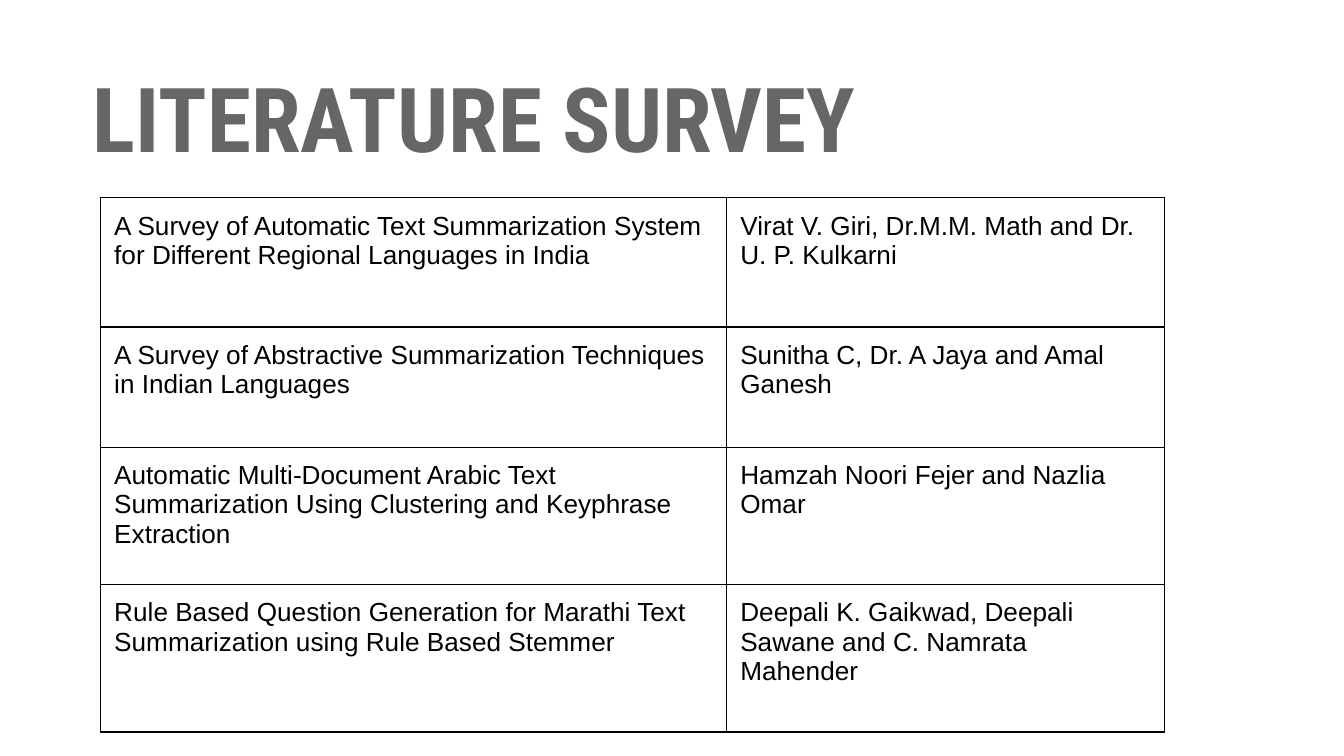
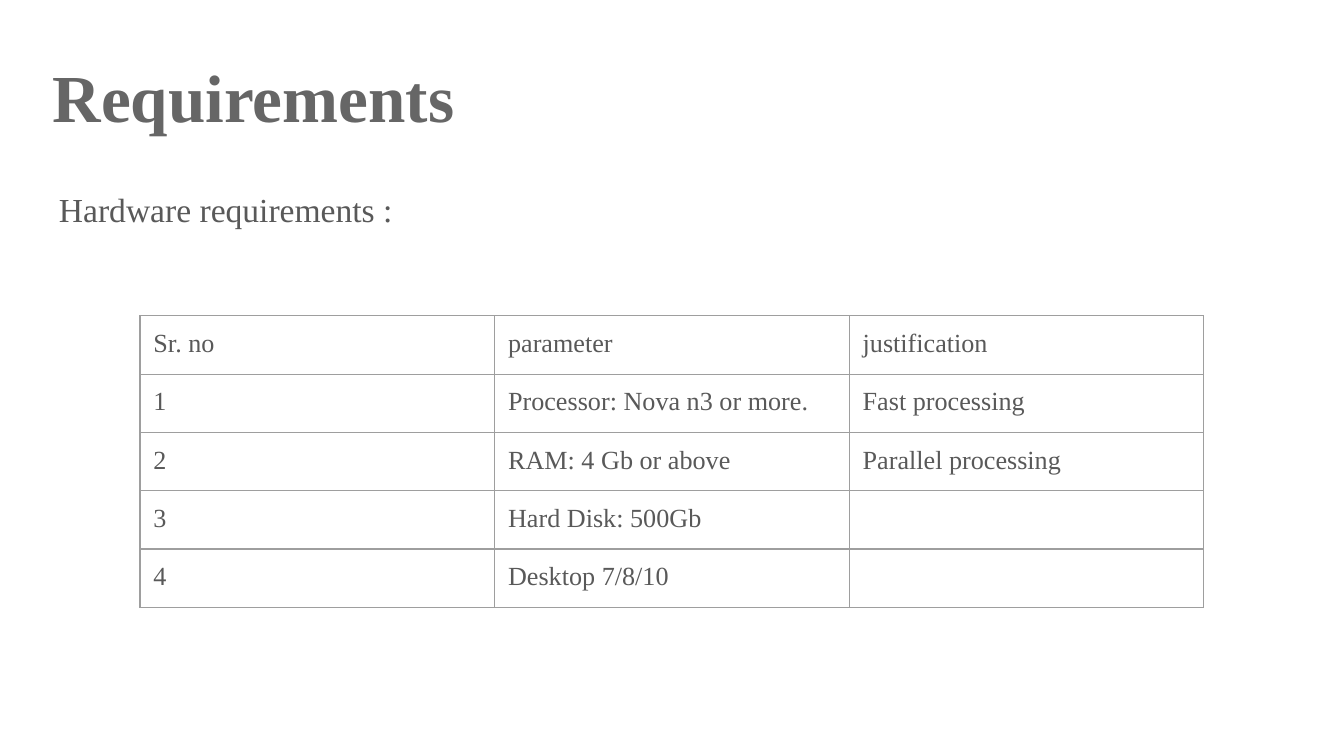
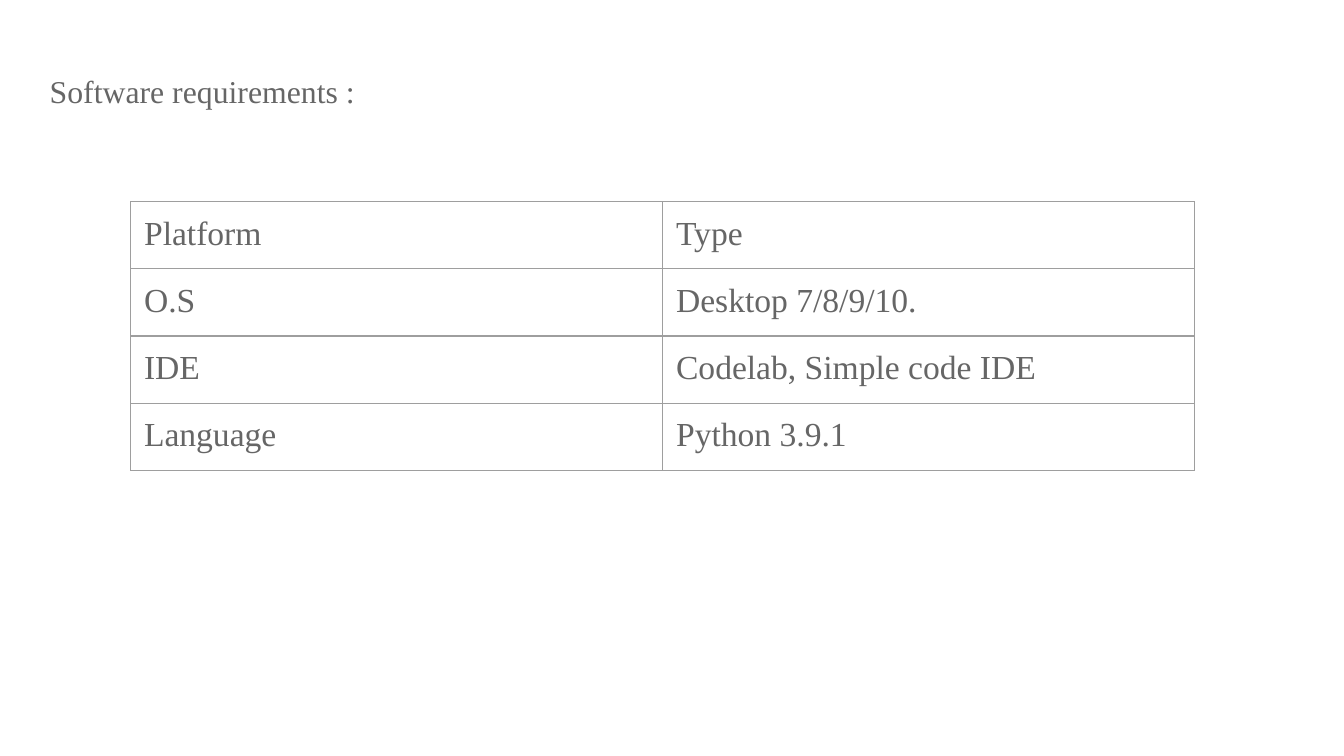
from dataclasses import dataclass
from pptx import Presentation
from pptx.dml.color import RGBColor as RGB
from pptx.enum.text import MSO_ANCHOR as Anchor, MSO_AUTO_SIZE as AutoSize, PP_ALIGN as Align
from pptx.oxml.ns import qn
from pptx.util import Pt
from lxml.etree import SubElement


@dataclass(frozen=True)
class Theme:
    serif: str = "Times New Roman"
    sans: str = "Arial"
    display: str = "Roboto Condensed"
    heading: str = "666666"
    body: str = "595959"
    black: str = "000000"
    grid: str = "9E9E9E"
    white: str = "FFFFFF"
    banner: float = 48
    title: float = 36
    large: float = 18
    label: float = 17
    small: float = 14
    inset: float = 7.2
    line: float = 0.75


T = Theme()


def write(tf, text, font=T.serif, size=T.small, color=T.body, bold=False,
          anchor=Anchor.TOP, spacing=1.0):
    tf.word_wrap = True
    tf.vertical_anchor = anchor
    p = tf.paragraphs[0]
    p.alignment = Align.LEFT
    p.line_spacing = spacing
    if not text:
        SubElement(p._p, qn("a:endParaRPr"), sz=str(int(size * 100)))
        return
    r = p.add_run()
    r.text = text
    r.font.name = font
    r.font.size = Pt(size)
    r.font.bold = bold
    r.font.color.rgb = RGB.from_string(color)


class Deck:
    def __init__(self, width, height):
        self.prs = Presentation()
        self.prs.slide_width = Pt(width)
        self.prs.slide_height = Pt(height)
        self.s = None

    def slide(self, titled=True):
        self.s = self.prs.slides.add_slide(self.prs.slide_layouts[5 if titled else 6])
        fill = self.s.background.fill
        fill.solid()
        fill.fore_color.rgb = RGB.from_string(T.white)

    def inset(self, frame):
        frame.margin_left = frame.margin_right = Pt(T.inset)
        frame.margin_top = frame.margin_bottom = Pt(T.inset)

    def title(self, text, x, y, w, h, **fmt):
        sp = self.s.shapes.title
        sp.left, sp.top, sp.width, sp.height = Pt(x), Pt(y), Pt(w), Pt(h)
        sp.text_frame.auto_size = AutoSize.NONE
        self.inset(sp.text_frame)
        write(sp.text_frame, text, color=T.heading, bold=True, **fmt)

    def text(self, text, x, y, w, h, **fmt):
        sp = self.s.shapes.add_textbox(Pt(x), Pt(y), Pt(w), Pt(h))
        self.inset(sp.text_frame)
        write(sp.text_frame, text, **fmt)

    def border(self, cell, color):
        tcPr = cell._tc.get_or_add_tcPr()
        for i, side in enumerate(("lnL", "lnR", "lnT", "lnB")):
            ln = tcPr.makeelement(qn(f"a:{side}"), {"w": str(Pt(T.line))})
            fill = SubElement(ln, qn("a:solidFill"))
            SubElement(fill, qn("a:srgbClr"), val=color)
            tcPr.insert(i, ln)

    def table(self, rows, x, y, widths, heights, grid=T.grid, **fmt):
        frame = self.s.shapes.add_table(len(rows), len(widths), Pt(x), Pt(y),
                                        Pt(sum(widths)), Pt(sum(heights)))
        tbl = frame.table
        tbl.first_row = tbl.horz_banding = False
        for col, w in zip(tbl.columns, widths):
            col.width = Pt(w)
        for row, h, texts in zip(tbl.rows, heights, rows):
            row.height = Pt(h)
            for cell, text in zip(row.cells, texts):
                self.inset(cell)
                cell.fill.background()
                self.border(cell, grid)
                write(cell.text_frame, text, **fmt)


SURVEY = [
    ("A Survey of Automatic Text Summarization System for Different Regional Languages in India",
     "Virat V. Giri, Dr.M.M. Math and Dr. U. P. Kulkarni"),
    ("A Survey of Abstractive Summarization Techniques in Indian Languages",
     "Sunitha C, Dr. A Jaya and Amal Ganesh"),
    ("Automatic Multi-Document Arabic Text Summarization Using Clustering and Keyphrase Extraction",
     "Hamzah Noori Fejer and Nazlia Omar"),
    ("Rule Based Question Generation for Marathi Text Summarization using Rule Based Stemmer",
     "Deepali K. Gaikwad, Deepali Sawane and C. Namrata Mahender"),
]
HARDWARE = [
    ("Sr. no", "parameter", "justification"),
    ("1", "Processor: Nova n3 or more.", "Fast processing"),
    ("2", "RAM: 4 Gb or above", "Parallel processing"),
    ("3", "Hard Disk: 500Gb", ""),
    ("4", "Desktop 7/8/10", ""),
]
SOFTWARE = [
    ("Platform", "Type"),
    ("O.S", "Desktop 7/8/9/10."),
    ("IDE", "Codelab, Simple code IDE"),
    ("Language", "Python 3.9.1"),
]
TABLE_W = 570

d = Deck(720, 405)

d.slide()
d.title("LITERATURE SURVEY", 42.5, 28.8, 544, 67, font=T.display, size=T.banner,
        anchor=Anchor.MIDDLE)
d.table(SURVEY, 54, 106, (335.4, 234.6), (69.2, 64.4, 73.6, 79), grid=T.black,
        font=T.sans, color=T.black)

d.slide()
d.title("Requirements", 21, 22.3, 671, 45.4, size=T.title)
d.text("Hardware requirements :", 24.5, 90.7, 671, 269, size=T.large, spacing=1.15)
d.table(HARDWARE, 75, 169.2, [TABLE_W / 3] * 3, [30] * len(HARDWARE))

d.slide(titled=False)
d.text("Software requirements :", 19.5, 31, 671, 328, size=T.label, color=T.heading)
d.table(SOFTWARE, 70, 108, [TABLE_W / 2] * 2, [34.3] * len(SOFTWARE),
        size=T.large, color=T.heading)

d.prs.save("out.pptx")
